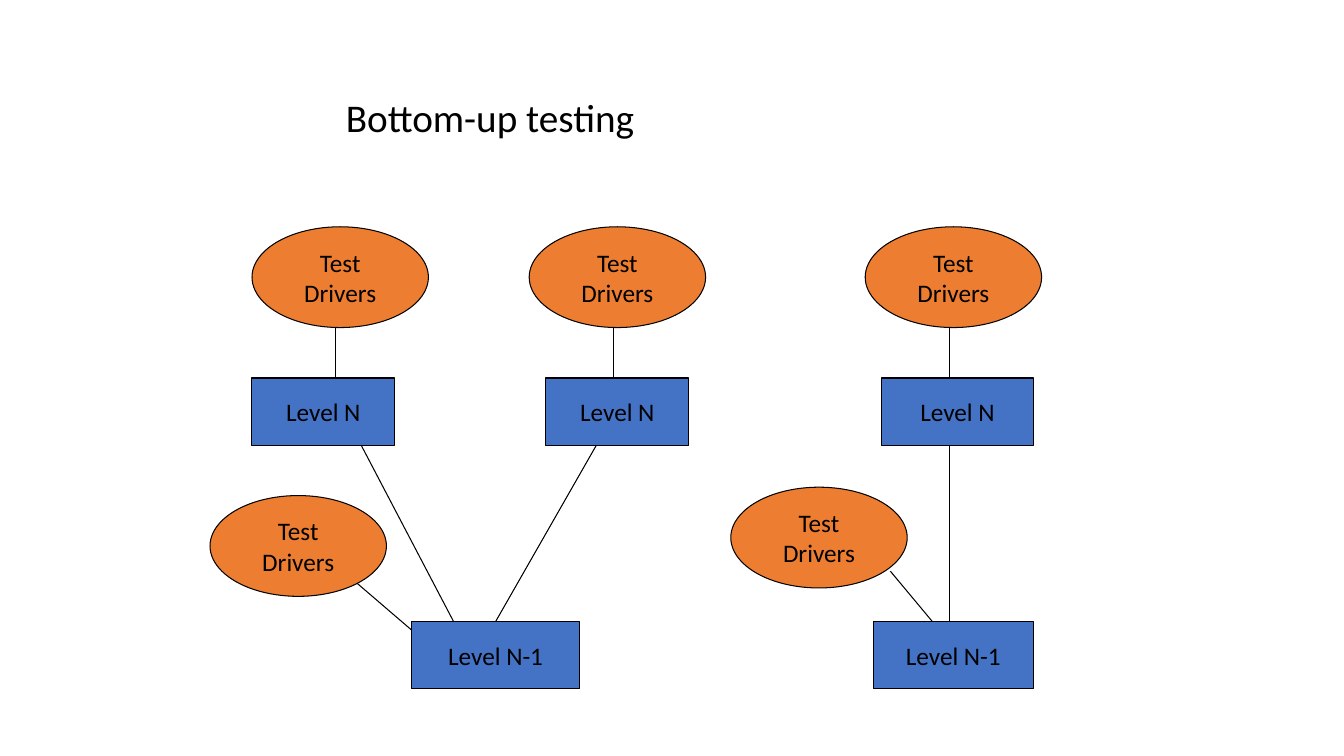
from lxml.etree import SubElement
from pptx import Presentation
from pptx.dml.color import RGBColor
from pptx.enum.shapes import MSO_CONNECTOR, MSO_SHAPE
from pptx.enum.text import MSO_ANCHOR, MSO_AUTO_SIZE, PP_ALIGN
from pptx.oxml.ns import qn
from pptx.util import Pt

EMU_PER_PX = 9525
BLACK = RGBColor(0x00, 0x00, 0x00)
BLUE = RGBColor(0x44, 0x72, 0xC4)
ORANGE = RGBColor(0xED, 0x7D, 0x31)

LEVEL_N_TOP, LEVEL_N1_TOP, LEVEL_HEIGHT = 360, 592, 64
LEVEL_N_BOTTOM = LEVEL_N_TOP + LEVEL_HEIGHT
DRIVER_TOP, DRIVER_WIDTH, DRIVER_HEIGHT = 216, 168, 96
DRIVER_BOTTOM = DRIVER_TOP + DRIVER_HEIGHT


def px(*lengths):
    """Turn pixel lengths into EMU."""
    return [length * EMU_PER_PX for length in lengths]


def write_text(frame, text, size=18, align=PP_ALIGN.CENTER,
               anchor=MSO_ANCHOR.MIDDLE, wrap=False):
    """Fill a text frame, one paragraph per line of text."""
    frame.word_wrap = wrap
    frame.vertical_anchor = anchor
    frame.text = text
    for paragraph in frame.paragraphs:
        paragraph.alignment = align
        font = paragraph.runs[0].font
        font.name = "Calibri"
        font.size = Pt(size)
        font.color.rgb = BLACK


def add_node(slide, kind, box, color, text):
    """Add a filled, outlined shape with a centred label."""
    node = slide.shapes.add_shape(kind, *px(*box))
    node.shadow.inherit = False
    node.fill.solid()
    node.fill.fore_color.rgb = color
    node.line.color.rgb = BLACK
    node.line.width = Pt(0.75)
    write_text(node.text_frame, text)
    return node


def add_level(slide, left, top, width, text):
    """Add the rectangle of one level."""
    box = (left, top, width, LEVEL_HEIGHT)
    return add_node(slide, MSO_SHAPE.RECTANGLE, box, BLUE, text)


def add_driver(slide, left, top):
    """Add an ellipse for test drivers."""
    box = (left, top, DRIVER_WIDTH, DRIVER_HEIGHT)
    add_node(slide, MSO_SHAPE.OVAL, box, ORANGE, "Test\nDrivers")


def add_link(slide, start, end):
    """Add a thin straight connector between two points."""
    link = slide.shapes.add_connector(MSO_CONNECTOR.STRAIGHT, *px(*start, *end))
    link.line.color.rgb = BLACK
    link.line.width = Pt(0.75)
    SubElement(link._element.spPr, qn("a:effectLst"))
    return link


def add_title(slide, text):
    """Add the slide heading."""
    title = slide.shapes.add_textbox(*px(320, 84, 457, 55))
    write_text(title.text_frame, text, size=28, align=PP_ALIGN.LEFT,
               anchor=MSO_ANCHOR.TOP, wrap=True)
    title.text_frame.auto_size = MSO_AUTO_SIZE.SHAPE_TO_FIT_TEXT


def main():
    """Build and save the bottom-up testing slide."""
    deck = Presentation()
    deck.slide_width, deck.slide_height = px(1280, 720)
    slide = deck.slides.add_slide(deck.slide_layouts[6])

    for left, width in ((240, 136), (520, 136), (840, 144)):
        add_level(slide, left, LEVEL_N_TOP, width, "Level N")
    shared_level = add_level(slide, 392, LEVEL_N1_TOP, 160, "Level N-1")
    add_level(slide, 832, LEVEL_N1_TOP, 152, "Level N-1")

    for x in (320, 584, 904):
        add_link(slide, (x, DRIVER_BOTTOM), (x, LEVEL_N_TOP))
    add_link(slide, (904, LEVEL_N_BOTTOM), (904, LEVEL_N1_TOP))
    add_link(slide, (848, 544), (888, LEVEL_N1_TOP))
    add_link(slide, (344, LEVEL_N_BOTTOM), (432, LEVEL_N1_TOP))
    middle_link = add_link(slide, (568, LEVEL_N_BOTTOM), (472, LEVEL_N1_TOP))
    middle_link.end_connect(shared_level, 0)
    add_link(slide, (336, 552), (392, 600))

    for left in (240, 504, 824):
        add_driver(slide, left, DRIVER_TOP)
    add_driver(slide, 200, 472)
    add_driver(slide, 696, 464)

    add_title(slide, "Bottom-up testing")
    deck.save("out.pptx")


if __name__ == "__main__":
    main()
